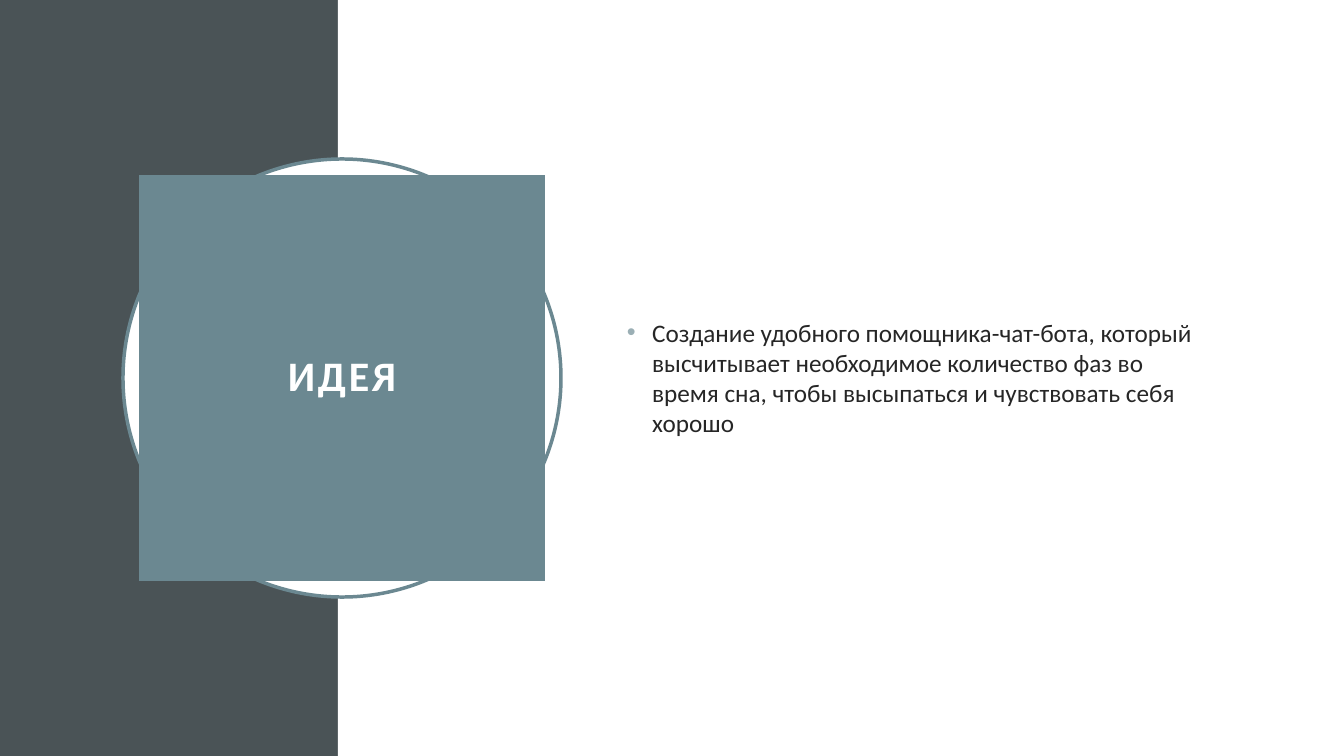
import pptx
import pptx.util
import pptx.dml.color
import pptx.enum.shapes
import pptx.enum.text
import pptx.oxml.ns
import lxml.etree

EMU_PER_PIXEL = 914400 / 100.8
SLIDE_WIDTH, SLIDE_HEIGHT = 1344, 756
SIDEBAR_WIDTH = 338
FONT = "Calibri"
WHITE, SLATE, TEAL, BULLET, INK = "FFFFFF", "4A5356", "6B8891", "9BAFB5", "262626"
SHAPES = pptx.enum.shapes.MSO_SHAPE


def px(length):
    """Turn picture pixels into EMU."""
    return pptx.util.Emu(round(length * EMU_PER_PIXEL))


def paint(color_format, color):
    """Give a fill a solid hex colour."""
    color_format.solid()
    color_format.fore_color.rgb = pptx.dml.color.RGBColor.from_string(color)


def add_panel(slide, kind, box, color, outline=None):
    """Add a filled preset shape with an optional outline."""
    panel = slide.shapes.add_shape(kind, *map(px, box))
    panel.shadow.inherit = False
    paint(panel.fill, color)
    if outline:
        paint(panel.line.fill, outline)
        panel.line.width = pptx.util.Pt(2.5)
    else:
        panel.line.fill.background()


def write(frame, text, size, color, margins, bold=False):
    """Set middle-anchored wrapped text and return its paragraph."""
    frame.text = text
    frame.word_wrap = True
    frame.auto_size = pptx.enum.text.MSO_AUTO_SIZE.NONE
    frame.vertical_anchor = pptx.enum.text.MSO_ANCHOR.MIDDLE
    frame.margin_left, frame.margin_top, frame.margin_right, frame.margin_bottom = map(px, margins)
    paragraph = frame.paragraphs[0]
    font = paragraph.runs[0].font
    font.name, font.size, font.bold = FONT, pptx.util.Pt(size), bold
    paint(font.fill, color)
    return paragraph


def add_backdrop(slide, box):
    """Split the box into a dark sidebar and a white content area."""
    left, top, width, height = box
    add_panel(slide, SHAPES.RECTANGLE, (left, top, SIDEBAR_WIDTH, height), SLATE)
    content = (left + SIDEBAR_WIDTH, top, width - SIDEBAR_WIDTH, height)
    add_panel(slide, SHAPES.RECTANGLE, content, WHITE)


def add_title_badge(slide, box, heading):
    """Place the title square over a slightly larger ring."""
    left, top, width, height = box
    overhang = 16
    ring = (left - overhang, top - overhang, width + 2 * overhang, height + 2 * overhang)
    add_panel(slide, SHAPES.OVAL, ring, WHITE, TEAL)
    title = slide.shapes.title
    title.left, title.top, title.width, title.height = map(px, box)
    paint(title.fill, TEAL)
    paragraph = write(title.text_frame, heading, 30, WHITE, (20, 20, 20, 20), True)
    paragraph.alignment = pptx.enum.text.PP_ALIGN.CENTER
    paragraph.line_spacing = 0.9
    paragraph.runs[0].font._element.set("spc", "200")
    slide.shapes.element.append(title.element)


def add_idea_text(slide, box, idea):
    """Write the idea as one bulleted paragraph."""
    body = slide.shapes.add_textbox(*map(px, box))
    paragraph = write(body.text_frame, idea, 18, INK, (10, 5, 10, 5))
    paragraph.space_before = pptx.util.Pt(10)
    properties = paragraph._p.get_or_add_pPr()
    properties.set("marL", str(pptx.util.Inches(0.25)))
    properties.set("indent", str(-pptx.util.Inches(0.25)))
    qn = pptx.oxml.ns.qn
    bullet_color = lxml.etree.SubElement(properties, qn("a:buClr"))
    lxml.etree.SubElement(bullet_color, qn("a:srgbClr"), val=BULLET)
    lxml.etree.SubElement(properties, qn("a:buFont"), typeface="Arial")
    lxml.etree.SubElement(properties, qn("a:buChar"), char="•")


def main():
    """Build and save the idea slide."""
    deck = pptx.Presentation()
    deck.slide_width, deck.slide_height = px(SLIDE_WIDTH), px(SLIDE_HEIGHT)
    slide = deck.slides.add_slide(deck.slide_layouts.get_by_name("Title Only"))
    add_backdrop(slide, (0, 0, SLIDE_WIDTH, SLIDE_HEIGHT))
    add_title_badge(slide, (139, 175, 406, 406), "ИДЕЯ")
    add_idea_text(
        slide,
        (617, 154, 587, 447),
        "Создание удобного помощника-чат-бота, который высчитывает необходимое "
        "количество фаз во время сна, чтобы высыпаться и чувствовать себя хорошо",
    )
    deck.save("out.pptx")


main()
